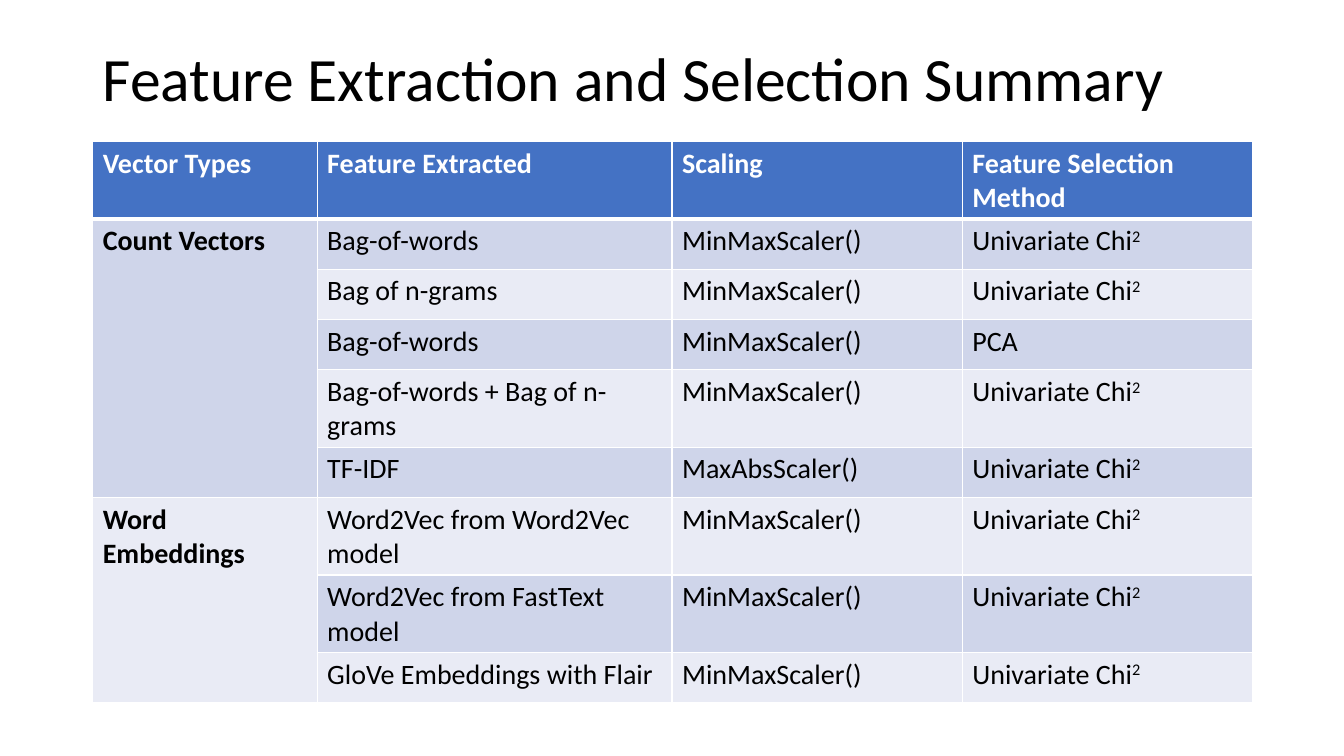
import dataclasses

import lxml.etree
import pptx
import pptx.dml.color
import pptx.enum.text
import pptx.oxml.ns
import pptx.util


@dataclasses.dataclass(frozen=True)
class Theme:
    font: str = "Calibri"
    title_size: int = 44
    table_size: int = 20
    text: str = "000000"
    light: str = "FFFFFF"
    header: str = "4472C4"
    bands: tuple = ("E9EBF5", "CFD5EA")
    border_width: int = 1
    header_border_width: int = 3
    superscript: str = "30000"


class SlideBuilder:
    """Draws styled elements on one slide, with lengths in percent of its size."""

    def __init__(self, presentation, theme):
        self.presentation = presentation
        self.theme = theme
        self.slide = presentation.slides.add_slide(presentation.slide_layouts[6])

    def across(self, percent):
        return round(self.presentation.slide_width * percent / 100)

    def down(self, percent):
        return round(self.presentation.slide_height * percent / 100)

    def frame(self, left, top, width, height):
        return self.across(left), self.down(top), self.across(width), self.down(height)

    def style(self, paragraph, size, color, bold=False):
        font = paragraph.font
        font.name = self.theme.font
        font.size = pptx.util.Pt(size)
        font.bold = bold
        font.color.rgb = pptx.dml.color.RGBColor.from_string(color)

    def title(self, text, left, top, width, height):
        shape = self.slide.shapes.add_textbox(*self.frame(left, top, width, height))
        shape.text_frame.word_wrap = True
        shape.text_frame.vertical_anchor = pptx.enum.text.MSO_ANCHOR.MIDDLE
        paragraph = shape.text_frame.paragraphs[0]
        paragraph.text = text
        paragraph.line_spacing = 0.9
        self.style(paragraph, self.theme.title_size, self.theme.text)

    def borders(self, cell, bottom_width):
        properties = cell._tc.get_or_add_tcPr()
        qn = pptx.oxml.ns.qn
        for side in ("lnL", "lnR", "lnT", "lnB"):
            width = bottom_width if side == "lnB" else self.theme.border_width
            line = lxml.etree.SubElement(
                properties, qn(f"a:{side}"), w=str(pptx.util.Pt(width)))
            fill = lxml.etree.SubElement(line, qn("a:solidFill"))
            lxml.etree.SubElement(fill, qn("a:srgbClr"), val=self.theme.light)

    def cell(self, cell, text, fill, color, bold, bottom_width):
        self.borders(cell, bottom_width)
        cell.fill.solid()
        cell.fill.fore_color.rgb = pptx.dml.color.RGBColor.from_string(fill)
        paragraph = cell.text_frame.paragraphs[0]
        base, marker, exponent = text.partition("^")
        paragraph.add_run().text = base
        if marker:
            run = paragraph.add_run()
            run.text = exponent
            run._r.get_or_add_rPr().set("baseline", self.theme.superscript)
        self.style(paragraph, self.theme.table_size, color, bold)

    def grouped_table(self, headings, groups, left, top, column_widths, row_height):
        theme = self.theme
        row_count = 1 + sum(len(rows) for _, rows in groups)
        shape = self.slide.shapes.add_table(
            row_count, len(headings),
            *self.frame(left, top, sum(column_widths), row_height * row_count))
        table = shape.table
        for column, width in zip(table.columns, column_widths):
            column.width = self.across(width)
        for row in table.rows:
            row.height = self.down(row_height)
        for column, heading in enumerate(headings):
            self.cell(table.cell(0, column), heading, theme.header, theme.light,
                      True, theme.header_border_width)
        first = 1
        for name, rows in groups:
            for index, values in enumerate(rows, first):
                label = name if index == first else ""
                for column, text in enumerate((label, *values)):
                    band = first if column == 0 else index
                    self.cell(table.cell(index, column), text, theme.bands[band % 2],
                              theme.text, column == 0, theme.border_width)
            last = first + len(rows) - 1
            table.cell(first, 0).merge(table.cell(last, 0))
            first = last + 1


HEADINGS = ("Vector Types", "Feature Extracted", "Scaling", "Feature Selection Method")
MIN_MAX = "MinMaxScaler()"
CHI = "Univariate Chi^2"
GROUPS = (
    ("Count Vectors", (
        ("Bag-of-words", MIN_MAX, CHI),
        ("Bag of n-grams", MIN_MAX, CHI),
        ("Bag-of-words", MIN_MAX, "PCA"),
        ("Bag-of-words + Bag of n-grams", MIN_MAX, CHI),
        ("TF-IDF", "MaxAbsScaler()", CHI),
    )),
    ("Word Embeddings", (
        ("Word2Vec from Word2Vec model", MIN_MAX, CHI),
        ("Word2Vec from FastText model", MIN_MAX, CHI),
        ("GloVe Embeddings with Flair", MIN_MAX, CHI),
    )),
)


def main():
    presentation = pptx.Presentation()
    presentation.slide_width = pptx.util.Inches(13.33)
    presentation.slide_height = pptx.util.Inches(7.5)
    builder = SlideBuilder(presentation, Theme())
    builder.title("Feature Extraction and Selection Summary", 6.9, 5.3, 86.3, 10.9)
    builder.grouped_table(HEADINGS, GROUPS, 6.9, 18.7, (16.7, 26.4, 21.6, 21.6), 6.67)
    presentation.save("out.pptx")


if __name__ == "__main__":
    main()
